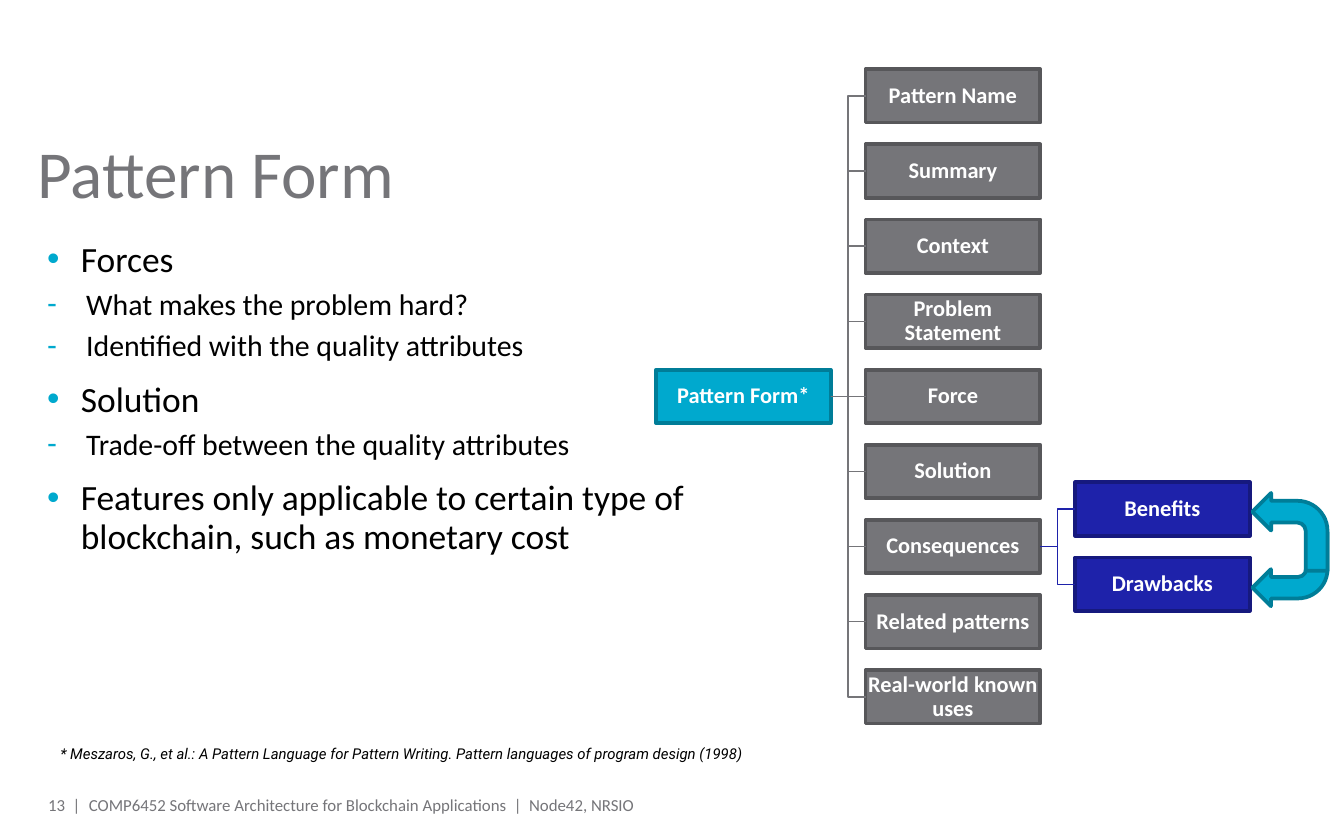
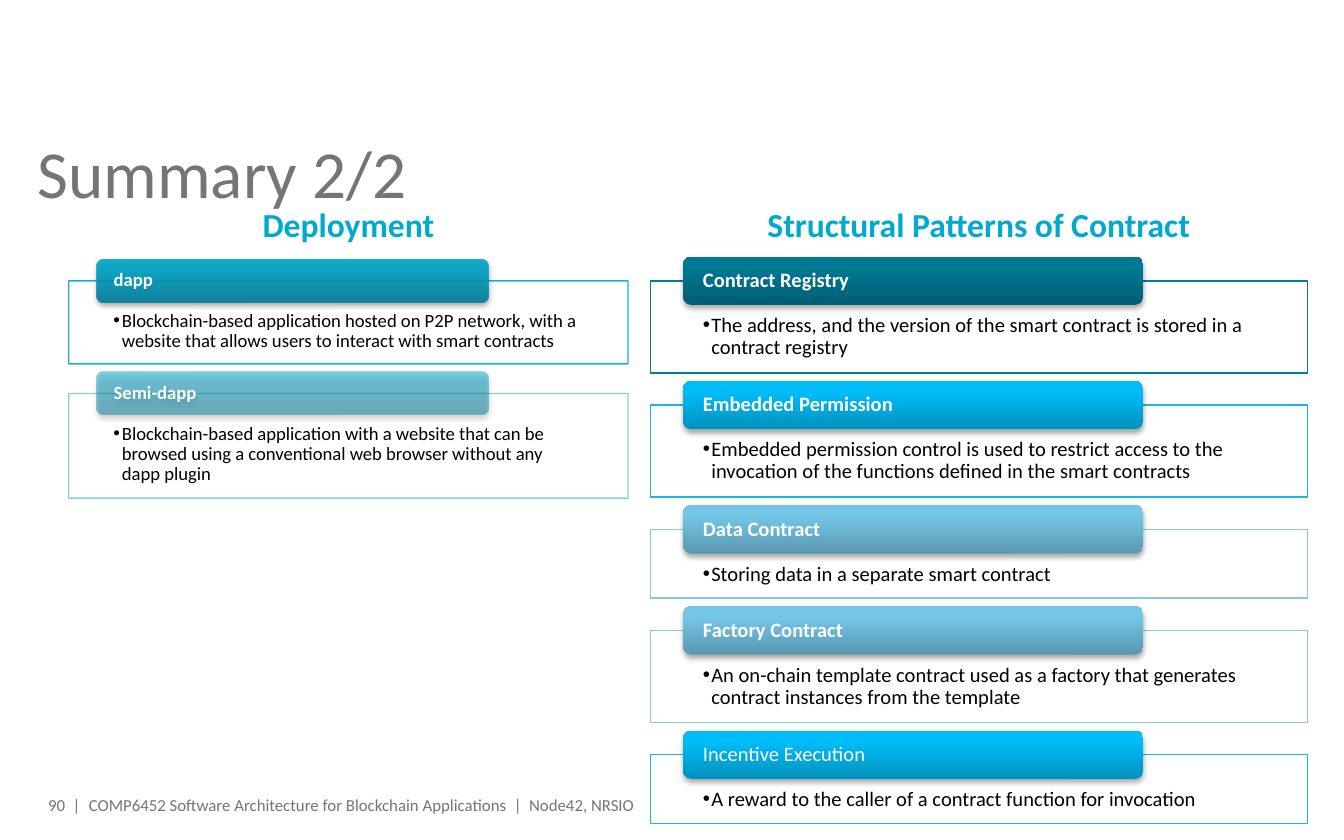
from lxml.etree import SubElement
from pptx import Presentation
from pptx.dml.color import RGBColor
from pptx.enum.shapes import MSO_CONNECTOR as LINK, MSO_SHAPE as SHAPE
from pptx.enum.text import MSO_ANCHOR as ANCHOR, PP_ALIGN as ALIGN
from pptx.oxml.ns import qn
from pptx.util import Cm, Pt

COLORS = {
    "black": "000000", "white": "FFFFFF", "grey": "757579", "grey_edge": "57575A",
    "cyan": "00A9CE", "cyan_edge": "007D98", "navy": "1E22AA", "navy_edge": "16197E",
    "sky": "1AB6E6", "pale": "86C6E1",
}
GRADIENTS = {
    "cyan_edge": ("005D72", "007994", "007A94"),
    "sky": ("0092BF", "00BDF8", "00BEF9"),
    "pale": ("5A98B2", "74C6E7", "73C8EA"),
    "cyan": ("007E9A", "00A4C8", "00A5C9"),
}
FOOTER = "COMP6452 Software Architecture for Blockchain Applications  |  Node42, NRSIO"


def write(box, text, size, color="black", font="Calibri", bold=False, italic=False,
          align=ALIGN.LEFT, anchor=ANCHOR.TOP, insets=(0, 0, 0, 0), spacing=None,
          before=0, level=0, bullet=None, bullet_color=None, indent=0):
    frame = box.text_frame
    frame.word_wrap = True
    frame.vertical_anchor = anchor
    frame.margin_left, frame.margin_top, frame.margin_right, frame.margin_bottom = map(Cm, insets)
    para = frame.add_paragraph() if frame.text else frame.paragraphs[0]
    para.alignment, para.level, para.line_spacing = align, level, spacing
    para.space_before = Pt(before)
    if bullet:
        marks = para._p.get_or_add_pPr()
        marks.set("marL", str(Cm(indent)))
        marks.set("indent", str(-Cm(indent)))
        if bullet_color:
            tint = SubElement(marks, qn("a:buClr"))
            SubElement(tint, qn("a:srgbClr"), val=COLORS[bullet_color])
        SubElement(marks, qn("a:buFont"), typeface="Arial")
        SubElement(marks, qn("a:buChar"), char=bullet)
    span = para.add_run()
    span.text = text
    span.font.name, span.font.size = font, Pt(size)
    span.font.bold, span.font.italic = bold, italic
    span.font.color.rgb = RGBColor.from_string(COLORS[color])


def draw(page, kind, left, top, width, height, fill, edge, weight, opacity=(100, 100)):
    shape = page.shapes.add_shape(kind, Cm(left), Cm(top), Cm(width), Cm(height))
    shape.shadow.inherit = False
    shape.fill.solid()
    shape.fill.fore_color.rgb = RGBColor.from_string(COLORS[fill])
    shape.line.color.rgb = RGBColor.from_string(COLORS[edge])
    shape.line.width = Pt(weight)
    for tint, percent in zip(shape._element.spPr.iter(qn("a:srgbClr")), opacity):
        if percent < 100:
            SubElement(tint, qn("a:alpha"), val=str(percent * 1000))
    return shape


deck = Presentation()
deck.slide_width, deck.slide_height = Cm(25.4), Cm(15.88)
pages = []
for heading, number in (("Pattern Form", 13), ("Summary 2/2", 90)):
    page = deck.slides.add_slide(deck.slide_layouts[5])
    title = page.shapes.title
    title.left, title.top, title.width, title.height = Cm(0.71), Cm(2.49), Cm(24), Cm(1.98)
    write(title, heading, 36, "grey")
    for text, left, width, align in ((f"{number}  |", 0.71, 0.81, ALIGN.RIGHT),
                                     (FOOTER, 1.68, 16.89, ALIGN.LEFT)):
        box = page.shapes.add_textbox(Cm(left), Cm(15.06), Cm(width), Cm(0.3))
        write(box, text, 9, "grey", align=align, anchor=ANCHOR.MIDDLE)
    pages.append(page)
form_page, summary_page = pages

PARTS = ["Pattern Name", "Summary", "Context", "Problem Statement", "Force", "Solution",
         "Consequences", "Related patterns", "Real-world known uses"]
nodes = [("Pattern Form*", 0, 4, "cyan", None)]
nodes += [(part, 1, row, "grey", "Pattern Form*") for row, part in enumerate(PARTS)]
nodes += [("Benefits", 2, 5.5, "navy", "Consequences"),
          ("Drawbacks", 2, 6.5, "navy", "Consequences")]
boxes = {}
for name, column, row, tone, parent in nodes:
    box = draw(form_page, SHAPE.RECTANGLE, 12.4 + 3.96 * column, 1.31 + 1.42 * row,
               3.3, 1.01, tone, tone + "_edge", 2)
    write(box, name, 12, "white", bold=True, align=ALIGN.CENTER, anchor=ANCHOR.MIDDLE,
          insets=(0.03,) * 4, spacing=0.9)
    boxes[name] = box
    if parent:
        kind = LINK.STRAIGHT if box.top == boxes[parent].top else LINK.ELBOW
        branch = form_page.shapes.add_connector(kind, 0, 0, 0, 0)
        branch.begin_connect(boxes[parent], 3)
        branch.end_connect(box, 1)
        branch.line.color.rgb = RGBColor.from_string(COLORS[tone])
        branch.line.width = Pt(0.75)
        SubElement(branch._element.spPr, qn("a:effectLst"))

footnote = form_page.shapes.add_textbox(Cm(0.89), Cm(13.94), Cm(14.6), Cm(0.61))
write(footnote, "* Meszaros, G., et al.: A Pattern Language for Pattern Writing. "
      "Pattern languages of program design (1998)", 8, font="Roboto", italic=True,
      insets=(0.25, 0.13, 0.25, 0.13))

points = form_page.shapes.add_textbox(Cm(0.71), Cm(4.47), Cm(14.94), Cm(11.38))
for level, text in (
    (0, "Forces"),
    (1, "What makes the problem hard?"),
    (1, "Identified with the quality attributes"),
    (0, "Solution"),
    (1, "Trade-off between the quality attributes"),
    (0, "Features only applicable to certain type of blockchain, such as monetary cost"),
):
    write(points, text, (19, 16)[level], insets=(0.18, 0.1, 0.18, 0.1), spacing=0.9,
          before=(10, 5)[level] if points.text_frame.text else 0, level=level,
          bullet="•-"[level], bullet_color="cyan", indent=(0.64, 0.74)[level])

lower_arrow = draw(form_page, SHAPE.BENT_ARROW, 23.67, 10.06, 1.42, 1.4, "cyan", "cyan_edge", 2)
lower_arrow.rotation = 180
upper_arrow = draw(form_page, SHAPE.BENT_ARROW, 23.67, 9.32, 1.42, 1.47, "cyan", "cyan_edge", 2)
upper_arrow._element.spPr.find(qn("a:xfrm")).set("flipH", "1")
for arrow in (lower_arrow, upper_arrow):
    for index, value in enumerate((0.29, 0.25, 0.25, 0.4)):
        arrow.adjustments[index] = value

CONTRACT_CARDS = [
    ("Contract Registry", "The address, and the version of the smart contract is stored in a "
     "contract registry", 1.74, "cyan_edge", 100),
    ("Embedded Permission", "Embedded permission control is used to restrict access to the "
     "invocation of the functions defined in the smart contracts", 1.74, "sky", 100),
    ("Data Contract", "Storing data in a separate smart contract", 1.3, "pale", 100),
    ("Factory Contract", "An on-chain template contract used as a factory that generates "
     "contract instances from the template", 1.74, "pale", 100),
    ("Incentive Execution", "A reward to the caller of a contract function for invocation",
     1.3, "sky", 100),
]
DEPLOYMENT_CARDS = [
    ("dapp", "Blockchain-based application hosted on P2P network, with a website that allows "
     "users to interact with smart contracts", 1.57, "cyan", 90),
    ("Semi-dapp", "Blockchain-based application with a website that can be browsed using a "
     "conventional web browser without any dapp plugin", 1.98, "cyan", 50),
]
for heading, cards, left, width, size, gap, tab_height, inset_top, tab_inset in (
    ("Structural Patterns of Contract", CONTRACT_CARDS, 12.29, 12.42, 11, 0.61, 0.91, 0.64, 0.33),
    ("Deployment", DEPLOYMENT_CARDS, 1.3, 10.57, 10, 0.56, 0.81, 0.58, 0.28),
):
    box = summary_page.shapes.add_textbox(Cm(left), Cm(3.73), Cm(width), Cm(1.02))
    write(box, heading, 18, "cyan", bold=True, align=ALIGN.CENTER,
          insets=(0.25, 0.13, 0.25, 0.13))
    top = 5.31
    for name, text, height, tone, opacity in cards:
        side = 0.08 * width
        body = draw(summary_page, SHAPE.RECTANGLE, left, top, width, height,
                    "white", tone, 0.75, (90, opacity))
        write(body, text, size, insets=(side, inset_top, side, 0.2), spacing=0.9,
              level=1, bullet="•", indent=0.16)

        tab = draw(summary_page, SHAPE.ROUNDED_RECTANGLE, left + 0.05 * width,
                   top - tab_height / 2, 0.7 * width, tab_height, tone, tone, 0.75)
        tab.line.fill.background()
        tab.fill.gradient()
        tab.fill.gradient_angle = 90
        properties = tab._element.spPr
        stops = properties.find(".//" + qn("a:gsLst"))
        stops.clear()
        for place, shade in zip((0, 80, 100), GRADIENTS[tone]):
            stop = SubElement(stops, qn("a:gs"), pos=str(place * 1000))
            tint = SubElement(stop, qn("a:srgbClr"), val=shade)
            if opacity < 100:
                SubElement(tint, qn("a:alpha"), val=str(opacity * 1000))
        shadow = SubElement(properties.find(qn("a:effectLst")), qn("a:outerShdw"),
                            blurRad=str(Pt(3.1)), dist=str(Pt(1.8)), dir="5400000",
                            rotWithShape="0")
        tint = SubElement(shadow, qn("a:srgbClr"), val=COLORS["black"])
        SubElement(tint, qn("a:alpha"), val="35000")
        write(tab, name, size, "white", bold=name != "Incentive Execution",
              anchor=ANCHOR.MIDDLE, insets=(tab_inset, 0, tab_inset, 0), spacing=0.9)
        top += height + gap

deck.save("out.pptx")
